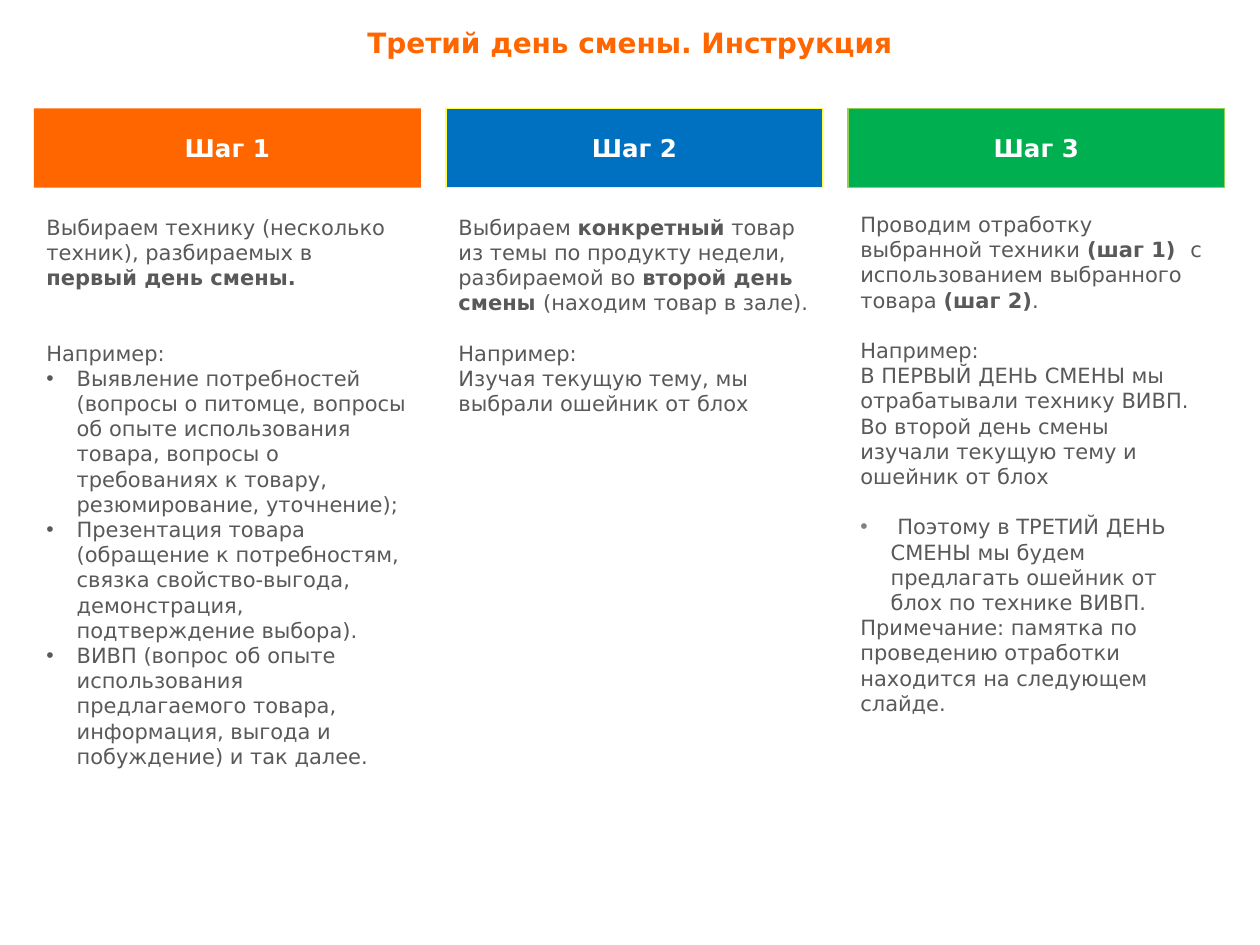
from lxml import etree
from pptx import Presentation
from pptx.dml.color import RGBColor
from pptx.enum.shapes import MSO_SHAPE as Shape
from pptx.enum.text import MSO_ANCHOR as Anchor, MSO_AUTO_SIZE as AutoSize, PP_ALIGN as Align
from pptx.oxml.ns import qn
from pptx.util import Inches, Pt

FONT = "DejaVu Sans"
ORANGE, BLUE, GREEN = "FF6600", "0070C0", "00B050"
WHITE, TEXT, GREY = "FFFFFF", "595959", "808080"
W, H = 10, 7.5
LEFT, GAP = 0.27, 0.2
HEAD_TOP, HEAD_H = 0.86, 0.63
LINE = 14.4  # height of one body line, points

# Paragraphs: (blank lines before, bullet colour or None, text with **bold** parts)
STEPS = [
    dict(name="Шаг 1", width=3.07, fill=ORANGE, line=None, body=(1.65, 3.07, 4.96), paragraphs=[
        (0, None, "Выбираем технику (несколько техник), разбираемых в **первый день смены.**"),
        (2, None, "Например:"),
        (0, TEXT, "Выявление потребностей (вопросы о питомце, вопросы об опыте использования "
                  "товара, вопросы о требованиях к товару, резюмирование, уточнение);"),
        (0, TEXT, "Презентация товара (обращение к потребностям, связка свойство-выгода, "
                  "демонстрация, подтверждение выбора)."),
        (0, TEXT, "ВИВП (вопрос об опыте использования предлагаемого товара, информация, "
                  "выгода и побуждение) и так далее."),
    ]),
    dict(name="Шаг 2", width=2.99, fill=BLUE, line="FFFF47", body=(1.65, 2.99, 2.99), paragraphs=[
        (0, None, "Выбираем **конкретный** товар из темы по продукту недели, разбираемой во "
                  "**второй день смены **(находим товар в зале)."),
        (1, None, "Например:"),
        (0, None, "Изучая текущую тему, мы выбрали ошейник от блох"),
    ]),
    dict(name="Шаг 3", width=2.99, fill=GREEN, line="92D050", body=(1.63, 2.91, 4.96), paragraphs=[
        (0, None, "Проводим отработку выбранной техники **(шаг 1)  **с использованием "
                  "выбранного товара **(шаг 2)**."),
        (1, None, "Например:"),
        (0, None, "В ПЕРВЫЙ ДЕНЬ СМЕНЫ мы отрабатывали технику ВИВП. Во второй день смены "
                  "изучали текущую тему и ошейник от блох"),
        (1, GREY, " Поэтому в ТРЕТИЙ ДЕНЬ СМЕНЫ мы будем предлагать ошейник от блох "
                  "по технике ВИВП."),
        (0, None, "Примечание: памятка по проведению отработки находится на следующем слайде."),
    ]),
]


def color(value):
    return RGBColor.from_string(value)


def style(r, size, value, bold=False):
    r.font.name, r.font.size, r.font.bold = FONT, Pt(size), bold
    r.font.color.rgb = color(value)


def add_bullet(p, value):
    pPr = p._p.get_or_add_pPr()
    pPr.set("marL", str(Inches(0.24)))
    pPr.set("indent", str(-Inches(0.24)))
    clr = etree.SubElement(pPr, qn("a:buClr"))
    etree.SubElement(clr, qn("a:srgbClr"), val=value)
    etree.SubElement(pPr, qn("a:buFont"), typeface="Arial")
    etree.SubElement(pPr, qn("a:buChar"), char="•")


def add_title(s, text, x, y, w, h):
    title = s.shapes.title
    title.left, title.top, title.width, title.height = map(Inches, (x, y, w, h))
    tf = title.text_frame
    tf.text = text
    tf.auto_size, tf.vertical_anchor = AutoSize.SHAPE_TO_FIT_TEXT, Anchor.TOP
    p = tf.paragraphs[0]
    p.alignment = Align.CENTER
    style(p.runs[0], 16, ORANGE, True)


def add_header(s, step, x, y, w, h):
    sp = s.shapes.add_shape(Shape.RECTANGLE, *map(Inches, (x, y, w, h)))
    sp.shadow.inherit = False
    sp.fill.solid()
    sp.fill.fore_color.rgb = color(step["fill"])
    if step["line"]:
        sp.line.color.rgb = color(step["line"])
        sp.line.width = Pt(0.75)
    else:
        sp.line.fill.background()
    tf = sp.text_frame
    tf.text = step["name"]
    tf.vertical_anchor = Anchor.MIDDLE
    p = tf.paragraphs[0]
    p.alignment = Align.CENTER
    style(p.runs[0], 14, WHITE, True)


def add_body(s, paragraphs, x, y, w, h):
    tf = s.shapes.add_textbox(*map(Inches, (x, y, w, h))).text_frame
    tf.word_wrap = True
    for i, (blank, bullet, text) in enumerate(paragraphs):
        p = tf.add_paragraph() if i else tf.paragraphs[0]
        if blank:
            p.space_before = Pt(blank * LINE)
        if bullet:
            add_bullet(p, bullet)
        # Every second part between the ** marks is bold
        for k, part in enumerate(text.split("**")):
            if part:
                r = p.add_run()
                r.text = part
                style(r, 12, TEXT, k % 2 == 1)


def add_steps(s, x, y):
    for step in STEPS:
        add_header(s, step, x, y, step["width"], HEAD_H)
        top, width, height = step["body"]
        add_body(s, step["paragraphs"], x, top, width, height)
        x += step["width"] + GAP


def main():
    prs = Presentation()
    prs.slide_width, prs.slide_height = Inches(W), Inches(H)
    s = prs.slides.add_slide(prs.slide_layouts[5])
    add_title(s, "Третий день смены. Инструкция", 0, 0.15, W, 0.37)
    add_steps(s, LEFT, HEAD_TOP)
    prs.save("out.pptx")


if __name__ == "__main__":
    main()
